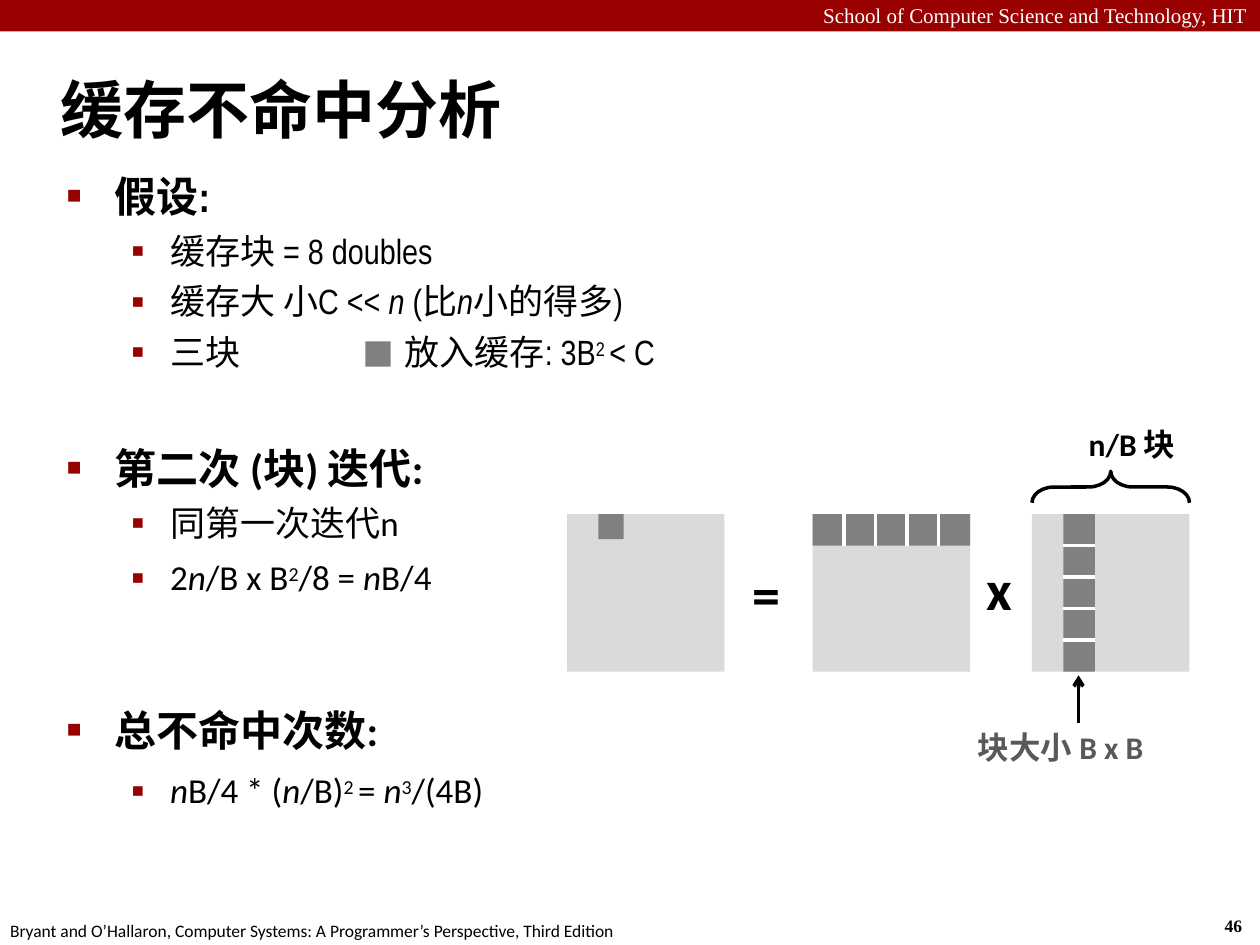
from dataclasses import dataclass

from lxml.etree import SubElement
from pptx import Presentation
from pptx.dml.color import RGBColor
from pptx.enum.shapes import MSO_CONNECTOR, MSO_SHAPE
from pptx.enum.text import MSO_ANCHOR, MSO_AUTO_SIZE, PP_ALIGN
from pptx.oxml.ns import qn
from pptx.util import Inches, Pt


@dataclass(frozen=True)
class Theme:
    black: str = "000000"
    white: str = "FFFFFF"
    red: str = "990000"
    light: str = "DADADA"
    dark: str = "808080"
    label: str = "595958"
    title_size: float = 36
    operator_size: float = 32
    heading_size: float = 24
    item_size: float = 20
    label_size: float = 18
    header_size: float = 12
    footer_size: float = 10
    font: str = "Calibri"
    narrow: str = "Arial Narrow"
    serif: str = "Times New Roman"


theme = Theme()


def write_text(paragraph, text, size, font=theme.font, color=theme.black, bold=False):
    for italic_index, part in enumerate(text.split("_")):
        for raised_index, piece in enumerate(part.split("^")):
            if not piece:
                continue
            run = paragraph.add_run()
            run.text = piece
            run.font.size = Pt(size)
            run.font.name = font
            run.font.bold = bold
            run.font.italic = italic_index % 2 == 1
            run.font.color.rgb = RGBColor.from_string(color)
            if raised_index % 2:
                run.font.size = Pt(size - 0.5)
                run._r.get_or_add_rPr().set("baseline", "26000")


def add_line(start, end, color):
    points = [Inches(value) for value in (*start, *end)]
    line = slide.shapes.add_connector(MSO_CONNECTOR.STRAIGHT, *points)
    line.line.color.rgb = RGBColor.from_string(color)
    line.line.width = Pt(2)
    SubElement(line._element.spPr, qn("a:effectLst"))
    return line


presentation = Presentation()
presentation.slide_width = Inches(10)
presentation.slide_height = Inches(7.5)
slide = presentation.slides.add_slide(presentation.slide_layouts[1])

title = slide.shapes.title
body = slide.placeholders[1]
iteration_box = slide.shapes.add_textbox(0, 0, 0, 0)
total_box = slide.shapes.add_textbox(0, 0, 0, 0)

for shape, left, top, width, height in (
    (title, 0.48, 0.56, 4.16, 0.6),
    (body, 0.52, 1.35, 5.31, 1.63),
    (iteration_box, 0.52, 3.51, 3.8, 1.25),
    (total_box, 0.52, 5.59, 3.8, 0.83),
):
    shape.left, shape.top = Inches(left), Inches(top)
    shape.width, shape.height = Inches(width), Inches(height)
    frame = shape.text_frame
    frame.margin_left = frame.margin_right = frame.margin_top = frame.margin_bottom = 0
    frame.word_wrap = True
    frame.auto_size = MSO_AUTO_SIZE.NONE
    frame.vertical_anchor = MSO_ANCHOR.TOP

title.text_frame.vertical_anchor = MSO_ANCHOR.MIDDLE
title_paragraph = title.text_frame.paragraphs[0]
title_paragraph.alignment = PP_ALIGN.LEFT
write_text(title_paragraph, "缓存不命中分析", theme.title_size, bold=True)

bullet_styles = (
    ("■", "58000", 0.39, -0.38, theme.heading_size),
    ("▪", "110000", 0.83, -0.31, theme.item_size),
)
lists = (
    (body, theme.narrow, (
        (0, 0, "假设:"),
        (1, 5, "缓存块 = 8 doubles"),
        (1, 4.8, "缓存大 小C << _n _(比_n_小的得多)"),
        (1, 4.8, "三块\t放入缓存: 3B^2 ^< C"),
    )),
    (iteration_box, theme.font, (
        (0, 0, "第二次 (块) 迭代:"),
        (1, 5, "同第一次迭代n"),
        (1, 7, "2_n_/B x B^2^/8 = _n_B/4"),
    )),
    (total_box, theme.font, (
        (0, 0, "总不命中次数:"),
        (1, 8, "_n_B/4 * (_n_/B)^2 ^= _n_^3^/(4B)"),
    )),
)
for shape, font, items in lists:
    for index, (level, space, text) in enumerate(items):
        frame = shape.text_frame
        paragraph = frame.add_paragraph() if index else frame.paragraphs[0]
        paragraph.level = level
        paragraph.space_before = Pt(space)
        character, bullet_size, margin, indent, size = bullet_styles[level]
        properties = paragraph._p.get_or_add_pPr()
        properties.set("marL", str(Inches(margin)))
        properties.set("indent", str(Inches(indent)))
        bullet_color = SubElement(properties, qn("a:buClr"))
        SubElement(bullet_color, qn("a:srgbClr"), val=theme.red)
        SubElement(properties, qn("a:buSzPct"), val=bullet_size)
        SubElement(properties, qn("a:buFont"), typeface="Arial")
        SubElement(properties, qn("a:buChar"), char=character)
        if "\t" in text:
            tabs = SubElement(properties, qn("a:tabLst"))
            SubElement(tabs, qn("a:tab"), pos=str(Inches(2.69)), algn="l")
        write_text(paragraph, text, size, font=font, bold=level == 0)

matrix_top, matrix_size, block = 4.08, 1.25, 0.25
result_left, row_left, column_left = 4.5, 6.45, 8.19
strip_left = column_left + block
for left, top, width, height, color in (
    (0, 0, 10, 0.25, theme.red),
    (result_left, matrix_top, matrix_size, matrix_size, theme.light),
    (row_left, matrix_top, matrix_size, matrix_size, theme.light),
    (column_left, matrix_top, matrix_size, matrix_size, theme.light),
    (result_left + block, matrix_top, 0.2, 0.2, theme.dark),
    (row_left, matrix_top, matrix_size, block, theme.dark),
    (strip_left, matrix_top, block, matrix_size, theme.dark),
    (2.9, 2.71, 0.2, 0.2, theme.dark),
):
    rectangle = slide.shapes.add_shape(
        MSO_SHAPE.RECTANGLE, Inches(left), Inches(top), Inches(width), Inches(height)
    )
    rectangle.shadow.inherit = False
    rectangle.fill.solid()
    rectangle.fill.fore_color.rgb = RGBColor.from_string(color)
    rectangle.line.fill.background()

for step in range(1, 5):
    x = row_left + step * block
    y = matrix_top + step * block
    add_line((x, matrix_top), (x, matrix_top + block), theme.white)
    add_line((strip_left, y), (strip_left + block, y), theme.white)

arrow = add_line((8.56, 5.74), (8.56, 5.36), theme.black)
SubElement(arrow.line._get_or_add_ln(), qn("a:tailEnd"), type="arrow")

brace = slide.shapes.add_shape(
    MSO_SHAPE.LEFT_BRACE, Inches(8.69), Inches(3.24), Inches(block), Inches(matrix_size)
)
brace.rotation = 90
brace.adjustments[0] = 0.7
brace.shadow.inherit = False
brace.fill.background()
brace.line.color.rgb = RGBColor.from_string(theme.black)
brace.line.width = Pt(2)

for text, left, top, width, height, size, font, color, bold, alignment in (
    ("School of Computer Science and Technology, HIT", 0.1, 0.02, 9.8, 0.2,
     theme.header_size, theme.serif, theme.white, False, PP_ALIGN.RIGHT),
    ("46", 9.72, 7.26, 0.17, 0.17,
     theme.footer_size, theme.serif, theme.black, True, PP_ALIGN.LEFT),
    ("Bryant and O’Hallaron, Computer Systems: A Programmer’s Perspective, Third Edition",
     0.08, 7.3, 4.88, 0.17, theme.footer_size, theme.font, theme.black, False, PP_ALIGN.LEFT),
    ("=", 5.97, 4.44, 0.25, 0.57,
     theme.operator_size, theme.font, theme.black, True, PP_ALIGN.LEFT),
    ("x", 7.83, 4.4, 0.23, 0.57,
     theme.operator_size, theme.font, theme.black, True, PP_ALIGN.LEFT),
    ("n/B 块", 8.64, 3.37, 1.12, 0.3,
     theme.label_size, theme.font, theme.black, True, PP_ALIGN.LEFT),
    ("块大小 B x B", 7.76, 5.78, 1.59, 0.3,
     theme.label_size, theme.font, theme.label, True, PP_ALIGN.LEFT),
):
    text_box = slide.shapes.add_textbox(
        Inches(left), Inches(top), Inches(width), Inches(height)
    )
    frame = text_box.text_frame
    frame.margin_left = frame.margin_right = frame.margin_top = frame.margin_bottom = 0
    frame.word_wrap = width > 5
    paragraph = frame.paragraphs[0]
    paragraph.alignment = alignment
    write_text(paragraph, text, size, font=font, color=color, bold=bold)

presentation.save("out.pptx")
